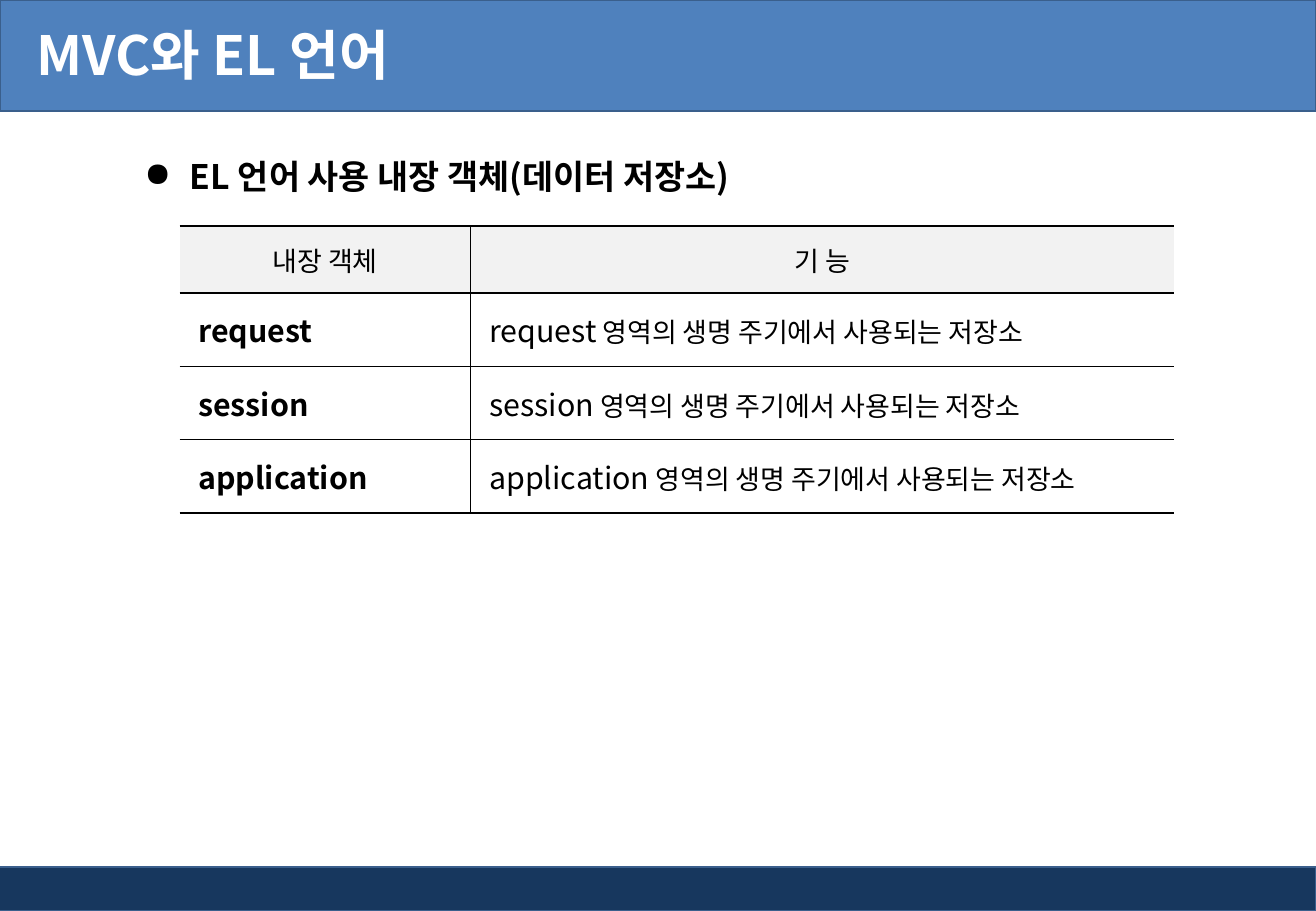
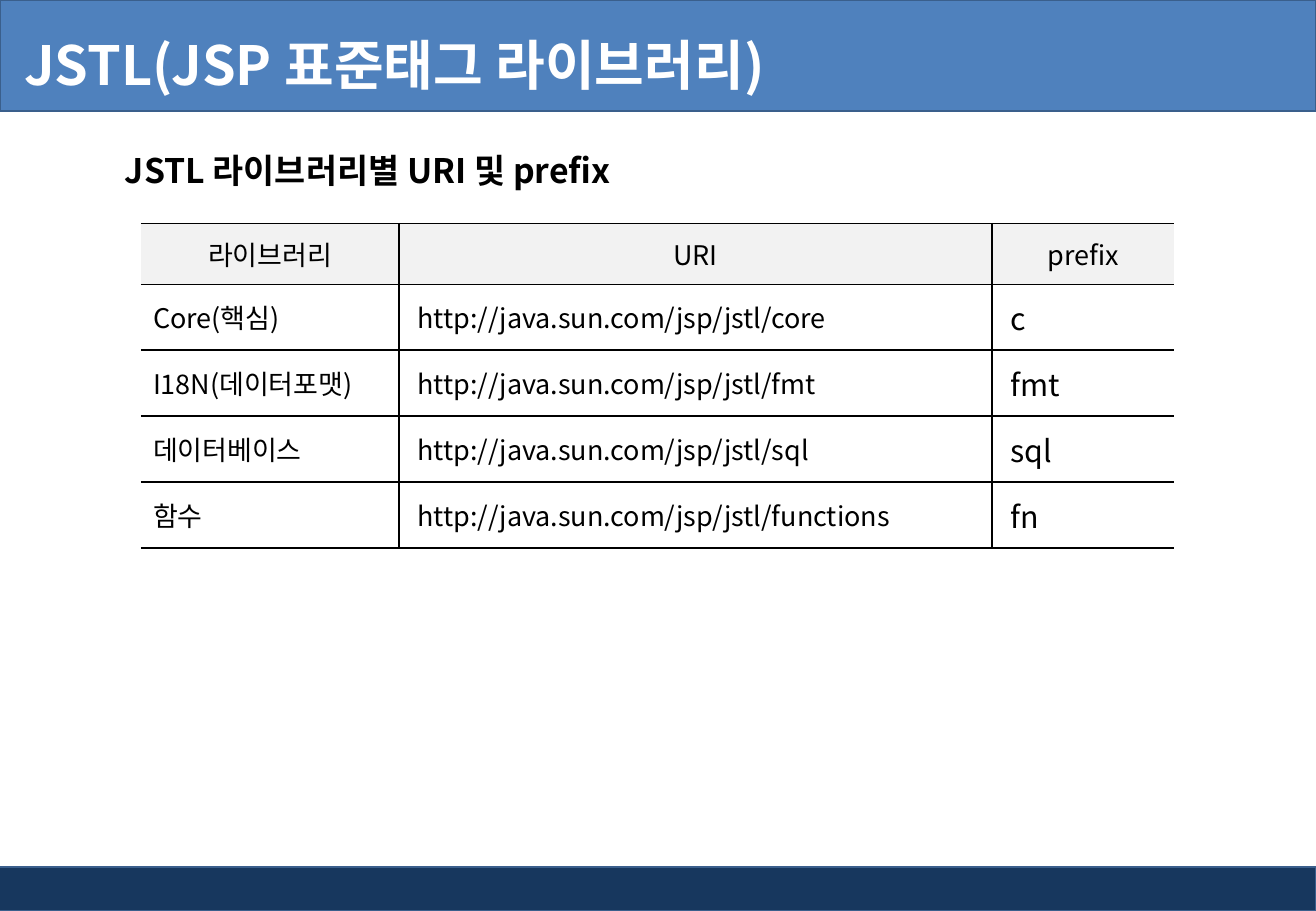
from lxml import etree
from pptx import Presentation
from pptx.dml.color import RGBColor
from pptx.enum import shapes, text
from pptx.oxml.ns import qn
from pptx.util import Pt

WHITE = RGBColor(0xFF, 0xFF, 0xFF)
BLACK = RGBColor(0, 0, 0)
BLUE = RGBColor(0x4F, 0x81, 0xBD)
NAVY = RGBColor(0x17, 0x37, 0x5E)
EDGE = RGBColor(0x3A, 0x5F, 0x8C)
GREY = RGBColor(0xF2, 0xF2, 0xF2)

WIDTH, HEIGHT = 780, 540
HEADER, FOOTER = 66, 26
INSET, CELL_INSET = 7.2, 11


class Deck:
    font = "Noto Sans CJK KR"

    def __init__(self):
        self.prs = Presentation()
        self.prs.slide_width, self.prs.slide_height = Pt(WIDTH), Pt(HEIGHT)
        self.s = None

    def slide(self, title, top, height, left_inset):
        self.s = self.prs.slides.add_slide(self.prs.slide_layouts[6])
        self.band(-3, HEIGHT - FOOTER, WIDTH + 3, FOOTER, NAVY)
        self.band(0, 0, WIDTH, HEADER, BLUE)
        tf = self.box(0, top, 629, height, left_inset)
        tf.vertical_anchor = text.MSO_ANCHOR.MIDDLE
        self.add_runs(tf.paragraphs[0], [(title, 32, True)], WHITE)

    def band(self, x, y, w, h, color):
        sp = self.s.shapes.add_shape(shapes.MSO_SHAPE.RECTANGLE, Pt(x), Pt(y), Pt(w), Pt(h))
        sp.shadow.inherit = False
        sp.fill.solid()
        sp.fill.fore_color.rgb = color
        sp.line.color.rgb = EDGE
        sp.line.width = Pt(1)

    def box(self, x, y, w, h, left_inset=INSET):
        tf = self.s.shapes.add_textbox(Pt(x), Pt(y), Pt(w), Pt(h)).text_frame
        tf.word_wrap = True
        tf.margin_left = Pt(left_inset)
        return tf

    def heading(self, words, x, y, w, h, bullet=None):
        tf = self.box(x, y, w, h)
        tf.auto_size = text.MSO_AUTO_SIZE.SHAPE_TO_FIT_TEXT
        p = tf.paragraphs[0]
        if bullet:
            p.line_spacing = 1.5
            pPr = p._p.get_or_add_pPr()
            pPr.set("marL", str(Pt(27)))
            pPr.set("indent", str(Pt(-27)))
            etree.SubElement(pPr, qn("a:buChar"), char=bullet)
        self.add_runs(p, [(words, 20, True)])

    def add_runs(self, p, runs, color=BLACK):
        for words, size, bold in runs:
            r = p.add_run()
            r.text = words
            r.font.color.rgb = color
            for name, value in {"name": self.font, "size": Pt(size), "bold": bold}.items():
                setattr(r.font, name, value)
            latin = r.font._element.find(qn("a:latin"))
            latin.addnext(etree.Element(qn("a:ea"), typeface=self.font))

    def table(self, x, y, widths, header, rows, heights, first_inset=CELL_INSET):
        head_height, row_height = heights
        row_heights = [head_height] + [row_height] * len(rows)
        frame = self.s.shapes.add_table(len(row_heights), len(widths), Pt(x), Pt(y),
                                        Pt(sum(widths)), Pt(sum(row_heights)))
        table = frame.table
        table.first_row = table.horz_banding = False
        for column, width in zip(table.columns, widths):
            column.width = Pt(width)
        for row, height in zip(table.rows, row_heights):
            row.height = Pt(height)
        for i, row in enumerate([[[(name, 16, False)] for name in header]] + rows):
            for j, runs in enumerate(row):
                cell = table.cell(i, j)
                cell.vertical_anchor = text.MSO_ANCHOR.MIDDLE
                p = cell.text_frame.paragraphs[0]
                if i == 0:
                    p.alignment = text.PP_ALIGN.CENTER
                    cell.fill.solid()
                    cell.fill.fore_color.rgb = GREY
                else:
                    cell.margin_left = Pt(CELL_INSET if j else first_inset)
                    cell.fill.background()
                self.add_runs(p, runs)
                self.borders(cell, {"L": j > 0, "R": j < len(widths) - 1, "T": True, "B": True})

    def borders(self, cell, sides):
        tcPr = cell._tc.get_or_add_tcPr()
        for k, (side, shown) in enumerate(sides.items()):
            ln = etree.Element(qn("a:ln" + side), w=str(Pt(1)))
            fill = etree.SubElement(ln, qn("a:solidFill" if shown else "a:noFill"))
            if shown:
                etree.SubElement(fill, qn("a:srgbClr"), val=str(BLACK))
            tcPr.insert(k, ln)


def main():
    deck = Deck()

    deck.slide("MVC와 EL 언어", -2, 68, 21.5)
    deck.heading("EL 언어 사용 내장 객체(데이터 저장소)", 78.5, 77, 550, 44, "●")
    scopes = [[[(scope, 18, True)],
               [(scope, 18, False), (" 영역의 생명 주기에서 사용되는 저장소", 16, False)]]
              for scope in ("request", "session", "application")]
    deck.table(106.5, 134, [172.5, 417], ["내장 객체", "기 능"], scopes, (39.7, 43.45))

    deck.slide("JSTL(JSP 표준태그 라이브러리)", 4, 68, 14.4)
    libraries = [("Core(핵심)", "core", "c"), ("I18N(데이터포맷)", "fmt", "fmt"),
                 ("데이터베이스", "sql", "sql"), ("함수", "functions", "fn")]
    rows = [[[(library, 16, False)],
             [("http://java.sun.com/jsp/jstl/" + name, 16, False)],
             [(prefix, 18, False)]] for library, name, prefix in libraries]
    deck.table(83.5, 132.5, [153, 351.5, 108], ["라이브러리", "URI", "prefix"], rows,
               (36, 39.1), INSET)
    deck.heading("JSTL 라이브러리별 URI 및 prefix", 67, 85, 369, 32)

    deck.prs.save("out.pptx")


if __name__ == "__main__":
    main()
